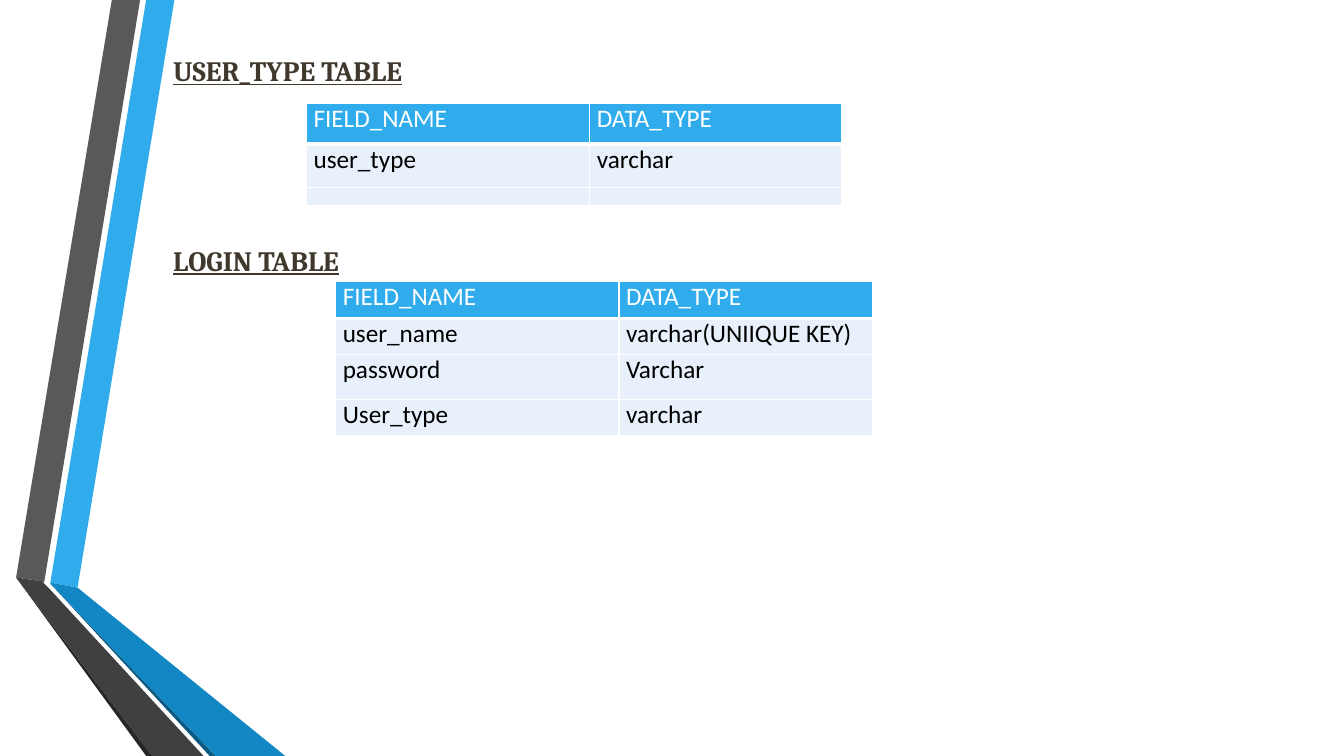
from lxml.etree import SubElement
from pptx import Presentation
from pptx.dml.color import RGBColor
from pptx.enum.text import MSO_ANCHOR
from pptx.oxml import parse_xml
from pptx.oxml.ns import nsdecls, qn
from pptx.util import Inches, Pt

RIBBONS = [
    ("30ACEC", [(0.5, 5.78), (0.77, 5.83), (1.73, 0), (1.45, 0)]),
    ("595959", [(1.39, 0), (1.11, 0), (0.16, 5.73), (0.44, 5.77)]),
    ("262626", [(0.16, 5.73), (1.45, 7.5), (1.51, 7.5)]),
    ("0C5A82", [(0.5, 5.79), (2.08, 7.5), (2.14, 7.5)]),
    ("1287C3", [(0.5, 5.79), (2.14, 7.5), (2.83, 7.5), (0.77, 5.83), (0.5, 5.78)]),
    ("404040", [(2.02, 7.5), (0.48, 5.83), (0.43, 5.78), (0.44, 5.77),
                (0.16, 5.73), (1.51, 7.5)]),
]
HEADER = ("FIELD_NAME", "DATA_TYPE")
SECTIONS = [
    {
        "heading": "USER_TYPE TABLE", "heading_at": (1.62, 0.48, 2.83, 0.44),
        "fields_at": (3.04, 1.03), "columns": (2.81, 2.5),
        "heights": (0.4, 0.43, 0.18),
        "fields": [("user_type", "varchar"), ("", "")],
        "fonts": ("Calibri", "Calibri"),
    },
    {
        "heading": "LOGIN TABLE", "heading_at": (1.62, 2.36, 4.87, 0.44),
        "fields_at": (3.33, 2.79), "columns": (2.81, 2.51),
        "heights": (0.37, 0.36, 0.44, 0.36),
        "fields": [("user_name", "varchar(UNIIQUE KEY)"), ("password", "Varchar"),
                   ("User_type", "varchar")],
        "fonts": ("Calibri", "Calibri", "Quicksand"),
    },
]


def color(value):
    return RGBColor.from_string(value)


def style(paragraph, font_name, size, ink, bold):
    for run in paragraph.runs:
        run.font.name = font_name
        run.font.size = Pt(size)
        run.font.color.rgb = color(ink)
        run.font.bold = bold


def add_ribbon(slide, fill, points):
    builder = slide.shapes.build_freeform(
        Inches(points[0][0]), Inches(points[0][1]), scale=1.0)
    builder.add_line_segments([(Inches(x), Inches(y)) for x, y in points[1:]], close=True)
    ribbon = builder.convert_to_shape()
    ribbon.shadow.inherit = False
    ribbon.fill.solid()
    ribbon.fill.fore_color.rgb = color(fill)
    ribbon.line.fill.background()


def add_heading(slide, text, place):
    frame = slide.shapes.add_textbox(*map(Inches, place)).text_frame
    frame.word_wrap = True
    frame.vertical_anchor = MSO_ANCHOR.MIDDLE
    frame.text = text
    style(frame.paragraphs[0], "Cambria", 20, "40382D", True)
    frame.paragraphs[0].runs[0].font.underline = True


def add_borders(cell, top, bottom):
    sides = (("lnL", 1), ("lnR", 1), ("lnT", top), ("lnB", bottom))
    for position, (side, width) in enumerate(sides):
        cell._tc.get_or_add_tcPr().insert(position, parse_xml(
            f'<a:{side} {nsdecls("a")} w="{Pt(width)}"><a:solidFill>'
            f'<a:srgbClr val="FFFFFF"/></a:solidFill></a:{side}>'))


def fill_cell(cell, text, row, font_name):
    is_header = row == 0
    cell.margin_left = cell.margin_right = Inches(0.07)
    cell.margin_top = cell.margin_bottom = 0
    cell.fill.solid()
    cell.fill.fore_color.rgb = color("30ACEC" if is_header else "E8F1FB")
    add_borders(cell, 3 if row == 1 else 1, 3 if is_header else 1)
    paragraph = cell.text_frame.paragraphs[0]
    if not text:
        SubElement(paragraph._p, qn("a:endParaRPr"), sz="1000")
        return
    cell.text_frame.text = text
    if is_header:
        style(paragraph, font_name, 18, "FFFFFF", True)
    else:
        paragraph.line_spacing = 1.35
        paragraph.space_after = Pt(8)
        style(paragraph, font_name, 16, "000000", False)


def add_fields(slide, section):
    rows = [HEADER] + section["fields"]
    fonts = ("Calibri",) + section["fonts"]
    size = sum(section["columns"]), sum(section["heights"])
    table = slide.shapes.add_table(
        len(rows), len(HEADER), *map(Inches, section["fields_at"] + size)).table
    for column, width in zip(table.columns, section["columns"]):
        column.width = Inches(width)
    for row, height in enumerate(section["heights"]):
        table.rows[row].height = Inches(height)
        for column, text in enumerate(rows[row]):
            fill_cell(table.cell(row, column), text, row, fonts[row])


def main():
    deck = Presentation()
    deck.slide_width, deck.slide_height = Inches(13.33), Inches(7.5)
    slide = deck.slides.add_slide(deck.slide_layouts[6])
    for fill, points in RIBBONS:
        add_ribbon(slide, fill, points)
    for section in SECTIONS:
        add_fields(slide, section)
        add_heading(slide, section["heading"], section["heading_at"])
    deck.save("out.pptx")


if __name__ == "__main__":
    main()
